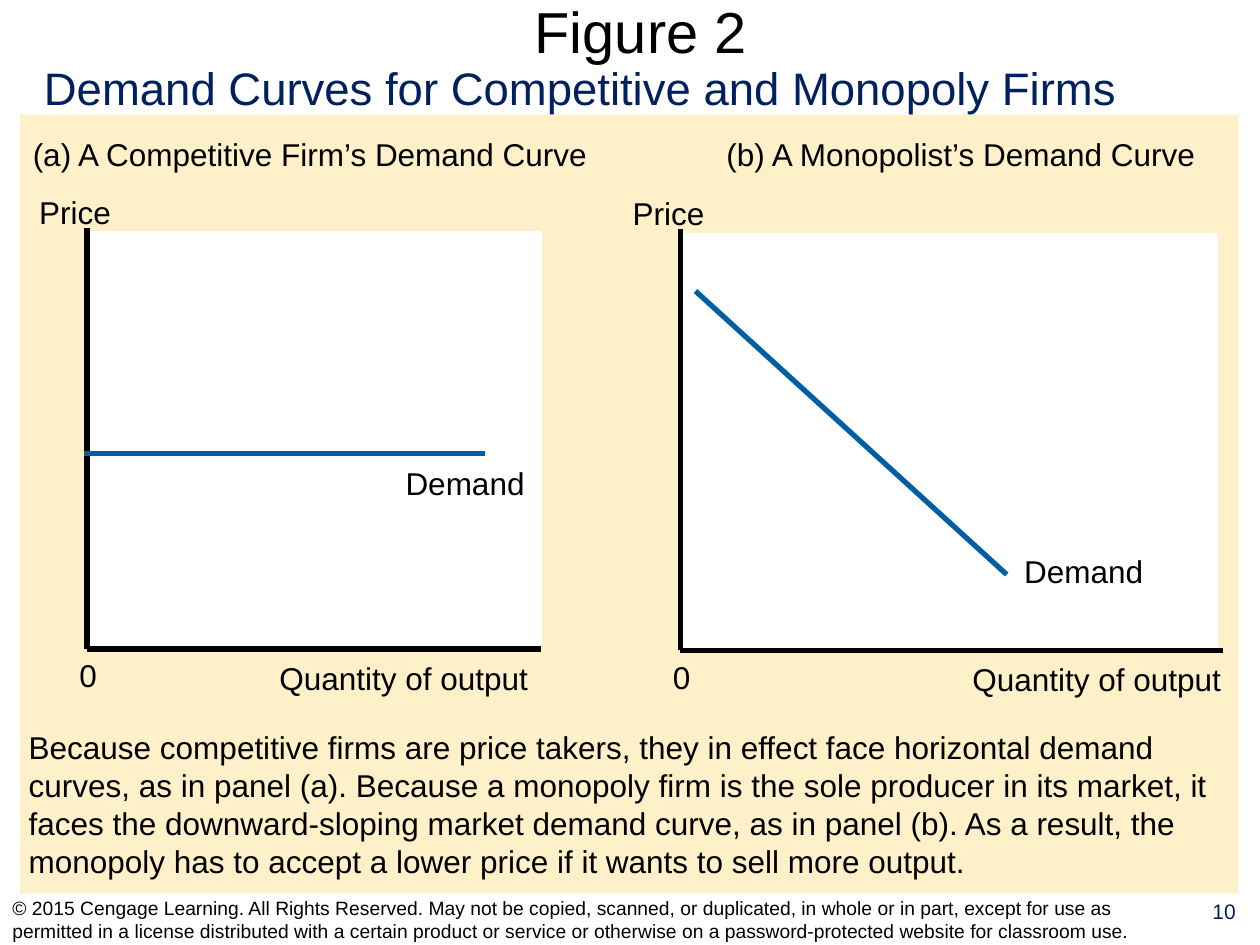
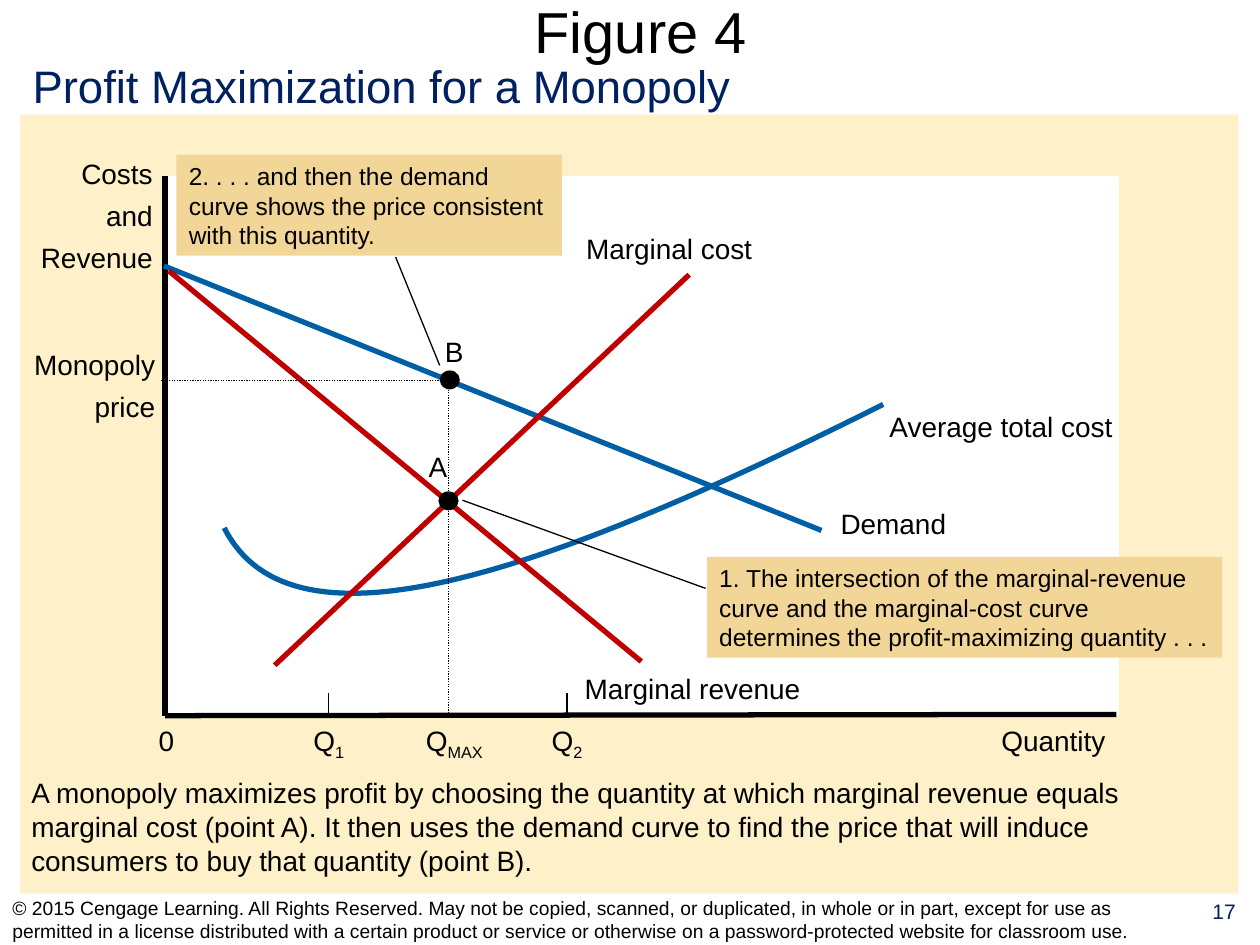
"""Build two figure slides on monopoly demand and profit maximization."""
from dataclasses import dataclass

from lxml import etree
from pptx import Presentation
from pptx import util as u
from pptx.dml.color import RGBColor
from pptx.enum import dml, shapes, text
from pptx.oxml.ns import qn


@dataclass(frozen=True)
class Theme:
    """Colours and type sizes shared by the deck."""

    font: str = "Arial"
    black: str = "000000"
    white: str = "FFFFFF"
    navy: str = "002060"
    blue: str = "005EA4"
    red: str = "C00000"
    cream: str = "FEF0C8"
    tan: str = "F2D698"
    title: float = 33
    subtitle: float = 26
    body: float = 18
    small_body: float = 16
    callout: float = 14
    number: float = 12
    copyright: float = 11
    thick: float = 3
    thin: float = 0.75


THEME = Theme()
ALIGN = {"l": text.PP_ALIGN.LEFT, "c": text.PP_ALIGN.CENTER, "r": text.PP_ALIGN.RIGHT}
COPYRIGHT = (
    "© 2015 Cengage Learning. All Rights Reserved. May not be copied, scanned, or "
    "duplicated, in whole or in part, except for use as permitted in a license "
    "distributed with a certain product or service or otherwise on a "
    "password-protected website for classroom use."
)


def assign(target, values):
    """Set each named attribute of the target."""
    for name, value in values.items():
        setattr(target, name, value)


def write(frame, lines, size, color=THEME.black, align="l", wrap=True, anchor="TOP", inset=0.1):
    """Fill a text frame; an underscore in a line starts a subscript."""
    assign(frame, {
        "word_wrap": wrap,
        "auto_size": text.MSO_AUTO_SIZE.NONE,
        "vertical_anchor": getattr(text.MSO_ANCHOR, anchor),
        "margin_left": u.Inches(inset),
        "margin_right": u.Inches(inset),
        "margin_top": u.Inches(inset / 2),
        "margin_bottom": u.Inches(inset / 2),
    })
    for index, line in enumerate(lines.split("\n")):
        para = frame.add_paragraph() if index else frame.paragraphs[0]
        para.alignment = ALIGN[align]
        para.space_before = u.Pt(size * 0.3 if index else 0)
        base, _, subscript = line.partition("_")
        for part in filter(None, (base, subscript)):
            span = para.add_run()
            span.text = part
            assign(span.font, {"name": THEME.font, "size": u.Pt(size), "bold": False})
            span.font.color.rgb = RGBColor.from_string(color)
        if subscript:
            span._r.get_or_add_rPr().set("baseline", "-25000")


class Region:
    """A part of a page whose contents are placed from its top left corner."""

    def __init__(self, page, left=0, top=0, size=THEME.body):
        """Remember the page, the corner and the label size."""
        self.shapes, self.left, self.top, self.size = page.shapes, left, top, size

    def point(self, x, y):
        """Return a place on the page in lengths."""
        return u.Inches(self.left + x), u.Inches(self.top + y)

    def frame(self, box):
        """Return left, top, width and height on the page."""
        x, y, width, height = box
        return *self.point(x, y), u.Inches(width), u.Inches(height)

    def block(self, box, fill, border=None, kind=shapes.MSO_SHAPE.RECTANGLE):
        """Add a filled shape with an optional border."""
        shape = self.shapes.add_shape(kind, *self.frame(box))
        shape.shadow.inherit = False
        shape.fill.solid()
        shape.fill.fore_color.rgb = RGBColor.from_string(fill)
        if border:
            shape.line.color.rgb = RGBColor.from_string(fill)
            shape.line.width = u.Pt(border)
        else:
            shape.line.fill.background()
        return shape

    def label(self, box, words, align="c", **style):
        """Add a text box, on unwrapped lines unless told otherwise."""
        shape = self.shapes.add_textbox(*self.frame(box))
        write(shape.text_frame, words, **{"size": self.size, "align": align, "wrap": False, **style})

    def line(self, start, end, color=THEME.black, width=THEME.thick, dotted=False):
        """Add a straight line between two points."""
        line = self.shapes.add_connector(
            shapes.MSO_CONNECTOR.STRAIGHT, *self.point(*start), *self.point(*end))
        line.line.color.rgb = RGBColor.from_string(color)
        line.line.width = u.Pt(width)
        if dotted:
            line.line.dash_style = dml.MSO_LINE.ROUND_DOT
        etree.SubElement(line._element.spPr, qn("a:effectLst"))

    def curve(self, controls, color, steps=60):
        """Add a cubic curve drawn through evenly stepped points."""
        points = []
        for step in range(steps + 1):
            t = step / steps
            weights = ((1 - t) ** 3, 3 * t * (1 - t) ** 2, 3 * t * t * (1 - t), t ** 3)
            points.append(self.point(*(
                sum(weight * control[axis] for weight, control in zip(weights, controls))
                for axis in (0, 1))))
        builder = self.shapes.build_freeform(*points[0])
        builder.add_line_segments(points[1:], close=False)
        shape = builder.convert_to_shape()
        shape.shadow.inherit = False
        shape.fill.background()
        shape.line.color.rgb = RGBColor.from_string(color)
        shape.line.width = u.Pt(THEME.thick)

    def callout(self, box, words, start, end):
        """Add a note with a thin leader line."""
        shape = self.block(box, THEME.tan)
        write(shape.text_frame, words, THEME.callout)
        self.line(start, end, width=THEME.thin)

    def dot(self, x, y, name, box):
        """Add a named point centred on the given place."""
        self.block((x - 0.08, y - 0.08, 0.16, 0.15), THEME.black, kind=shapes.MSO_SHAPE.OVAL)
        self.label(box, name)


def add_page(deck, title, number, subtitle, subtitle_box):
    """Add a page with its band, titles, copyright line and number."""
    page = deck.slides.add_slide(deck.slide_layouts[5])
    region = Region(page)
    region.block((0.16, 0.91, 9.67, 6.18), THEME.cream)
    heading = page.shapes.title
    names = ("left", "top", "width", "height")
    assign(heading, dict(zip(names, region.frame((0.35, 0, 9.47, 0.49)))))
    write(heading.text_frame, title, THEME.title, align="c", anchor="MIDDLE", inset=0)
    region.label((9.43, 7.08, 0.57, 0.41), number, size=THEME.number, color=THEME.navy, wrap=True)
    region.label((0, 7.1, 9.42, 0.4), COPYRIGHT, "l", size=THEME.copyright, wrap=True, anchor="MIDDLE")
    region.label(subtitle_box, subtitle, "l", size=THEME.subtitle, color=THEME.navy)
    return page


def demand_panel(page, box, field_width, caption, caption_box, quantity_left, demand, demand_label):
    """Draw one price and quantity panel with its demand line."""
    left, top, width, height = box
    region = Region(page, left, top)
    region.label(caption_box, caption, wrap=True)
    region.block((0.02, 0.04, field_width, height - 0.05), THEME.white, 2)
    region.line((0, 0), (0, height))
    region.line((0, height), (width, height))
    region.label((-0.48, -0.33, 0.77, 0.4), "Price", "r")
    region.label((-0.16, height + 0.01, 0.34, 0.4), "0")
    region.label((quantity_left, height + 0.03, 2.24, 0.4), "Quantity of output", "l")
    region.line(*demand, THEME.blue)
    region.label((*demand_label, 1.21, 0.4), "Demand", "l")


def demand_page(deck):
    """Compare the demand curves of the two kinds of firm."""
    page = add_page(deck, "Figure 2", "10",
                    "Demand Curves for Competitive and Monopoly Firms", (0.25, 0.43, 8.72, 0.54))
    demand_panel(page, (0.69, 1.81, 3.6, 3.34), 3.58,
                 "(a) A Competitive Firm’s Demand Curve", (-0.6, -0.79, 4.74, 0.4),
                 1.43, ((-0.02, 1.79), (3.16, 1.79)), (2.43, 1.82))
    demand_panel(page, (5.4, 1.82, 4.31, 3.34), 4.23,
                 "(b) A Monopolist’s Demand Curve", (0.14, -0.8, 4.17, 0.4),
                 2.22, ((0.12, 0.49), (2.59, 2.74)), (2.63, 2.51))
    Region(page).label(
        (0.13, 5.73, 9.74, 1.3),
        "Because competitive firms are price takers, they in effect face horizontal demand "
        "curves, as in panel (a). Because a monopoly firm is the sole producer in its market, "
        "it faces the downward-sloping market demand curve, as in panel (b). As a result, the "
        "monopoly has to accept a lower price if it wants to sell more output.", "l", wrap=True)


def profit_chart(page, box):
    """Draw the cost and revenue curves with the points that fix the price."""
    left, top, width, height = box
    region = Region(page, left, top, THEME.small_body)
    under = height + 0.01
    region.block((0.02, 0.01, width - 0.01, height - 0.02), THEME.white, 2)
    region.line((0, 0), (0, height))
    region.line((0, height), (width, height - 0.01))
    region.curve(((0.47, 2.79), (0.98, 3.79), (2.77, 3.28), (5.7, 1.81)), THEME.blue)
    for start, end, color in (
        ((-0.01, 0.71), (5.21, 2.81), THEME.blue),
        ((0.03, 0.75), (3.78, 3.85), THEME.red),
        ((0.87, 3.88), (4.16, 0.78), THEME.red),
    ):
        region.line(start, end, color)
    for x, y, label_width, words in (
        (6.54, under, 1.02, "Quantity"),
        (-0.15, under, 0.32, "0"),
        (5.65, 1.8, 1.97, "Average total cost"),
        (5.26, 2.57, 1.04, "Demand"),
        (3.23, 3.88, 1.91, "Marginal revenue"),
        (3.24, 0.39, 1.52, "Marginal cost"),
        (1.08, under, 0.44, "Q_1"),
        (1.97, under, 0.65, "Q_MAX"),
        (2.97, under, 0.44, "Q_2"),
    ):
        region.label((x, y, label_width, 0.37), words)
    region.label((-1.09, -0.21, 1.09, 1.01), "Costs\nand\nRevenue", "r")
    region.label((-1.14, 1.31, 1.16, 0.69), "Monopoly\nprice", "r")
    for tick in (1.3, 3.19):
        region.line((tick, height - 0.18), (tick, height), width=THEME.thin)
    region.line((2.25, 1.61), (2.25, height), width=THEME.thin, dotted=True)
    region.line((-0.03, 1.62), (2.28, 1.62), width=THEME.thin, dotted=True)
    region.dot(2.26, 1.62, "B", (2.12, 1.21, 0.35, 0.37))
    region.dot(2.25, 2.58, "A", (1.99, 2.12, 0.35, 0.37))
    region.callout((4.3, 3.02, 4.09, 0.8),
                   "1. The intersection of the marginal-revenue curve and the marginal-cost "
                   "curve determines the profit-maximizing quantity . . .",
                   (2.36, 2.57), (4.29, 3.27))
    region.callout((0.09, -0.17, 3.06, 0.8),
                   "2. . . . and then the demand curve shows the price consistent with this quantity.",
                   (2.18, 1.5), (1.83, 0.64))


def profit_page(deck):
    """Show how a monopoly chooses its quantity and price."""
    page = add_page(deck, "Figure 4", "17",
                    "Profit Maximization for a Monopoly", (0.16, 0.41, 5.75, 0.54))
    profit_chart(page, (1.31, 1.4, 7.55, 4.28))
    Region(page, size=THEME.small_body).label(
        (0.15, 6.11, 9.7, 0.9),
        "A monopoly maximizes profit by choosing the quantity at which marginal revenue equals "
        "marginal cost (point A). It then uses the demand curve to find the price that will "
        "induce consumers to buy that quantity (point B).", "l", wrap=True)


def main():
    """Build and save the deck."""
    deck = Presentation()
    assign(deck, {"slide_width": u.Inches(10), "slide_height": u.Inches(7.5)})
    demand_page(deck)
    profit_page(deck)
    deck.save("out.pptx")


if __name__ == "__main__":
    main()
